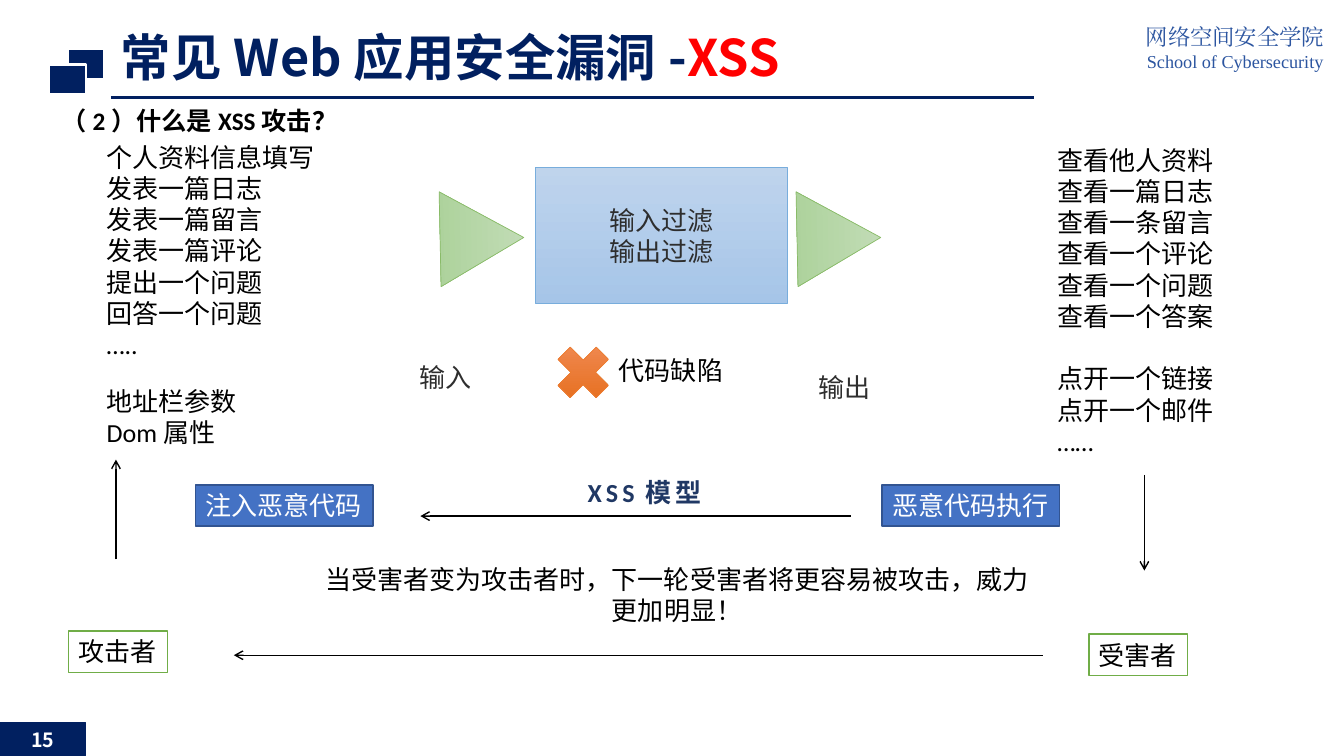
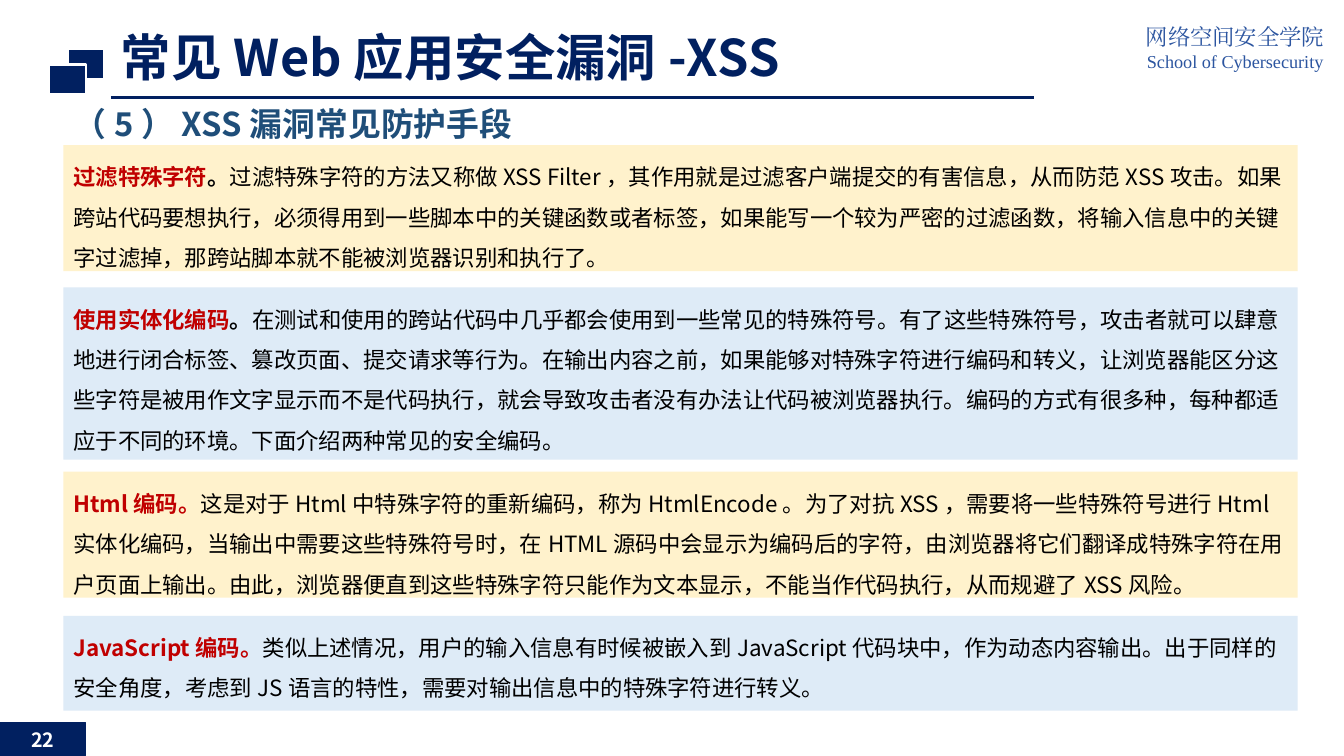
from lxml import etree
from pptx import Presentation
from pptx import util as u
from pptx.dml.color import RGBColor
from pptx.enum import shapes, text
from pptx.oxml.ns import qn

COLORS = {
    "navy": "012060", "school": "2C55A0", "white": "FFFFFF", "black": "000000",
    "red": "FF0000", "crimson": "C00000", "heading": "1F4E79", "model": "203864",
    "blue": "4472C4", "blue_edge": "325491", "green_edge": "70AD47",
    "green_top": "B5D5A7", "green_end": "9CC987", "sky_top": "B1CBE9",
    "sky_end": "93B9E4", "sky_edge": "5B9BD5", "orange_top": "F18C57",
    "orange_end": "E56C19", "orange_edge": "ED7D31",
    "cream": "FFF2CC", "pale": "DEEBF7",
}
SANS = "Noto Sans CJK SC"
SERIF = "Times New Roman"
BODY = {"size": u.Pt(18.6), "name": "Calibri", "bold": False, "color": "black"}
TITLE = {"size": u.Pt(36), "name": SANS, "bold": True, "color": "navy"}
PAGE = {"size": u.Pt(14), "name": SANS, "bold": True, "color": "white"}
SCHOOL = {"size": u.Pt(16), "name": SERIF, "color": "school"}
HEADING = {"size": u.Pt(23.4), "name": SANS, "bold": True, "color": "heading"}
NOTE = {"size": u.Pt(16), "name": SANS, "bold": False, "color": "black"}
LEAD = {"bold": True, "color": "crimson"}
CENTER = {"alignment": text.PP_ALIGN.CENTER}
RECT = shapes.MSO_SHAPE.RECTANGLE
MIDDLE = text.MSO_ANCHOR.MIDDLE
LINE_GAP = u.Pt(22.4)


def rgb(name):
    return RGBColor.from_string(COLORS[name])


def place(sp, at):
    for side, value in zip(("left", "top", "width", "height"), at):
        setattr(sp, side, u.Inches(value))


def style_run(r, fmt):
    rest = dict(fmt)
    r.font.color.rgb = rgb(rest.pop("color"))
    spacing = rest.pop("spc", None)
    for key, value in rest.items():
        setattr(r.font, key, value)
    r_pr = r._r.get_or_add_rPr()
    etree.SubElement(r_pr, qn("a:ea")).set("typeface", fmt["name"])
    if spacing:
        r_pr.set("spc", str(spacing))


def write(sp, paras, fmt, para=None, wrap=True, anchor=text.MSO_ANCHOR.TOP):
    tf = sp.text_frame
    tf.word_wrap = wrap
    tf.vertical_anchor = anchor
    for i, runs in enumerate(paras):
        p = tf.paragraphs[0] if i == 0 else tf.add_paragraph()
        for key, value in {"alignment": text.PP_ALIGN.LEFT, **(para or {})}.items():
            setattr(p, key, value)
        for words, change in [(runs, {})] if isinstance(runs, str) else runs:
            r = p.add_run()
            r.text = words
            style_run(r, {**fmt, **change})
    return tf


def add_text(s, at, paras, fmt=BODY, **options):
    sp = s.shapes.add_textbox(*map(u.Inches, at))
    return write(sp, paras, fmt, **options)


def add_box(s, at, fill, line=None, width=1, kind=RECT, alpha=None):
    sp = s.shapes.add_shape(kind, *map(u.Inches, at))
    sp.shadow.inherit = False
    if isinstance(fill, tuple):
        sp.fill.gradient()
        sp.fill.gradient_angle = 270
        for stop, name in zip(sp.fill.gradient_stops, fill):
            stop.color.rgb = rgb(name)
    else:
        sp.fill.solid()
        sp.fill.fore_color.rgb = rgb(fill)
    if alpha:
        color = sp._element.spPr.find(qn("a:solidFill"))[0]
        etree.SubElement(color, qn("a:alpha")).set("val", str(alpha * 1000))
    if line:
        sp.line.color.rgb = rgb(line)
        sp.line.width = u.Pt(width)
    else:
        sp.line.fill.background()
    return sp


def add_line(s, start, end, color="black", width=1, arrow=True):
    c = s.shapes.add_connector(shapes.MSO_CONNECTOR.STRAIGHT,
                               *map(u.Inches, start + end))
    c.line.color.rgb = rgb(color)
    c.line.width = u.Pt(width)
    sp_pr = c._element.spPr
    if arrow:
        etree.SubElement(sp_pr.find(qn("a:ln")), qn("a:tailEnd")).set("type", "arrow")
    etree.SubElement(sp_pr, qn("a:effectLst"))


def add_label(s, at, words, fill, line, color):
    sp = add_box(s, at, fill, line)
    write(sp, [words], {**BODY, "color": color}, wrap=False)


def new_slide(prs, number, title):
    s = prs.slides.add_slide(prs.slide_layouts[5])
    write(s.shapes.title, [title], TITLE, para={"line_spacing": 0.9})
    add_line(s, (1.1, 0.97), (10.26, 0.97), "navy", 2.25, arrow=False)
    for left, top in ((0.67, 0.49), (0.49, 0.64)):
        add_box(s, (left, top, 0.36, 0.29), "navy", "white", 1.5)
    add_text(s, (11.17, 0.18, 2.16, 0.61),
             ["网络空间安全学院", [("School of Cybersecurity", {"size": u.Pt(13)})]],
             SCHOOL, para=CENTER)
    badge = add_box(s, (0, 7.17, 0.85, 0.33), "navy", "navy", 0.75)
    write(badge, [number], PAGE, para=CENTER, anchor=MIDDLE)
    return s


def add_filter_stage(s):
    for left in (4.31, 7.85):
        sp = add_box(s, (left, 1.95, 0.94, 0.83), ("green_top", "green_end"),
                     "green_edge", 0.5, shapes.MSO_SHAPE.ISOSCELES_TRIANGLE)
        sp.rotation = 88.8
    sp = add_box(s, (5.31, 1.66, 2.5, 1.35), ("sky_top", "sky_end"), "sky_edge", 0.5)
    write(sp, ["输入过滤", "输出过滤"], BODY, para=CENTER, anchor=MIDDLE)
    add_text(s, (4.06, 3.54, 0.72, 0.41), ["输入"], wrap=False)
    add_text(s, (8.02, 3.64, 0.72, 0.41), ["输出"], wrap=False)
    add_box(s, (3.65, 1.35, 5.63, 3.02), "white", "white", alpha=18)
    add_box(s, (5.42, 3.33, 0.73, 0.73), ("orange_top", "orange_end"),
            "orange_edge", 0.5, shapes.MSO_SHAPE.MATH_MULTIPLY)
    add_text(s, (6.04, 3.47, 1.24, 0.41), ["代码缺陷"], wrap=False)


def build_model(prs):
    s = new_slide(prs, "15", [("常见Web应用安全漏洞-", {}), ("XSS", {"color": "red"})])
    add_text(s, (0.51, 1, 6.66, 0.4), ["（2）什么是XSS攻击？"],
             {**BODY, "size": u.Pt(18), "bold": True})
    add_text(s, (0.96, 1.35, 2.28, 2.28),
             ["个人资料信息填写", "发表一篇日志", "发表一篇留言", "发表一篇评论",
              "提出一个问题", "回答一个问题", "….."], wrap=False)
    add_text(s, (0.96, 3.77, 1.5, 0.72), ["地址栏参数", "Dom属性"], wrap=False)
    add_filter_stage(s)
    tf = add_text(s, (10.39, 1.38, 1.76, 3.21),
                  ["查看他人资料", "查看一篇日志", "查看一条留言", "查看一个评论",
                   "查看一个问题", "查看一个答案", "点开一个链接", "点开一个邮件",
                   "……"], wrap=False)
    tf.paragraphs[6].space_before = LINE_GAP
    for at, words in (((0.68, 6.26, 0.98, 0.41), "攻击者"),
                      ((10.8, 6.29, 0.98, 0.41), "受害者")):
        add_label(s, at, words, "white", "green_edge", "black")
    for left, words in ((1.94, "注入恶意代码"), (8.75, "恶意代码执行")):
        add_label(s, (left, 4.81, 1.76, 0.41), words, "blue", "blue_edge", "white")
    add_text(s, (5.73, 4.68, 1.45, 0.41), ["XSS模型"],
             {**BODY, "bold": True, "color": "model", "spc": 300}, wrap=False)
    add_text(s, (3.12, 5.54, 7.19, 0.72),
             ["当受害者变为攻击者时，下一轮受害者将更容易被攻击，威力更加明显！"],
             para=CENTER)
    for start, end in (((1.15, 5.55), (1.15, 4.56)), ((11.35, 4.71), (11.35, 5.66)),
                       ((8.44, 5.12), (4.17, 5.12)), ((10.34, 6.5), (2.32, 6.5))):
        add_line(s, start, end)


def build_defences(prs):
    s = new_slide(prs, "22", "常见Web应用安全漏洞-XSS")
    add_text(s, (0.63, 0.95, 9, 0.59), ["（5）XSS漏洞常见防护手段"], HEADING,
             para={"line_spacing": 0.9}, anchor=MIDDLE)
    stop = ("。", {"bold": True})
    notes = [
        (1.44, 1.25, "cream", [
            ("过滤特殊字符", LEAD), stop,
            ("过滤特殊字符的方法又称做XSS Filter，其作用就是过滤客户端提交的有害信息，"
             "从而防范XSS攻击。如果跨站代码要想执行，必须得用到一些脚本中的关键函数或者标签，"
             "如果能写一个较为严密的过滤函数，将输入信息中的关键字过滤掉，"
             "那跨站脚本就不能被浏览器识别和执行了。", {})]),
        (2.85, 1.71, "pale", [
            ("使用实体化编码", LEAD), stop,
            ("在测试和使用的跨站代码中几乎都会使用到一些常见的特殊符号。有了这些特殊符号，"
             "攻击者就可以肆意地进行闭合标签、篡改页面、提交请求等行为。在输出内容之前，"
             "如果能够对特殊字符进行编码和转义，让浏览器能区分这些字符是被用作文字显示而不是代码执行，"
             "就会导致攻击者没有办法让代码被浏览器执行。编码的方式有很多种，"
             "每种都适应于不同的环境。下面介绍两种常见的安全编码。", {})]),
        (4.68, 1.25, "cream", [
            ("Html编码。", LEAD),
            ("这是对于Html中特殊字符的重新编码，称为HtmlEncode。为了对抗XSS，"
             "需要将一些特殊符号进行Html实体化编码，当输出中需要这些特殊符号时，"
             "在HTML源码中会显示为编码后的字符，由浏览器将它们翻译成特殊字符在用户页面上输出。"
             "由此，浏览器便直到这些特殊字符只能作为文本显示，不能当作代码执行，"
             "从而规避了XSS风险。", {})]),
        (6.11, 0.94, "pale", [
            ("JavaScript编码。", LEAD),
            ("类似上述情况，用户的输入信息有时候被嵌入到JavaScript代码块中，"
             "作为动态内容输出。出于同样的安全角度，考虑到JS语言的特性，"
             "需要对输出信息中的特殊字符进行转义。", {})]),
    ]
    for top, height, fill, runs in notes:
        sp = add_box(s, (0.63, top, 12.24, height), fill)
        write(sp, [runs], NOTE, para={"line_spacing": u.Pt(28.8)})


def main():
    prs = Presentation()
    prs.slide_width = u.Inches(13.33)
    prs.slide_height = u.Inches(7.5)
    place(prs.slide_layouts[5].placeholders[0], (1.1, 0.28, 9.16, 0.59))
    build_model(prs)
    build_defences(prs)
    prs.save("out.pptx")


if __name__ == "__main__":
    main()
